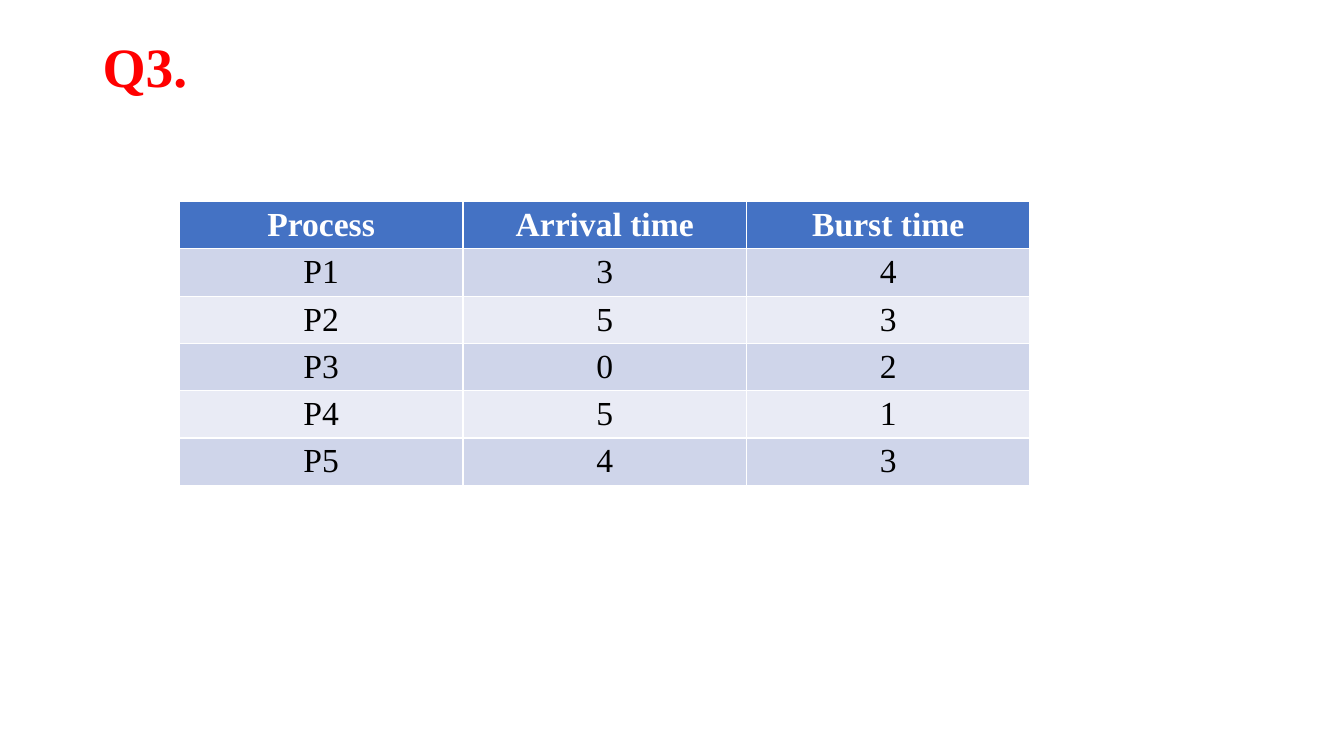
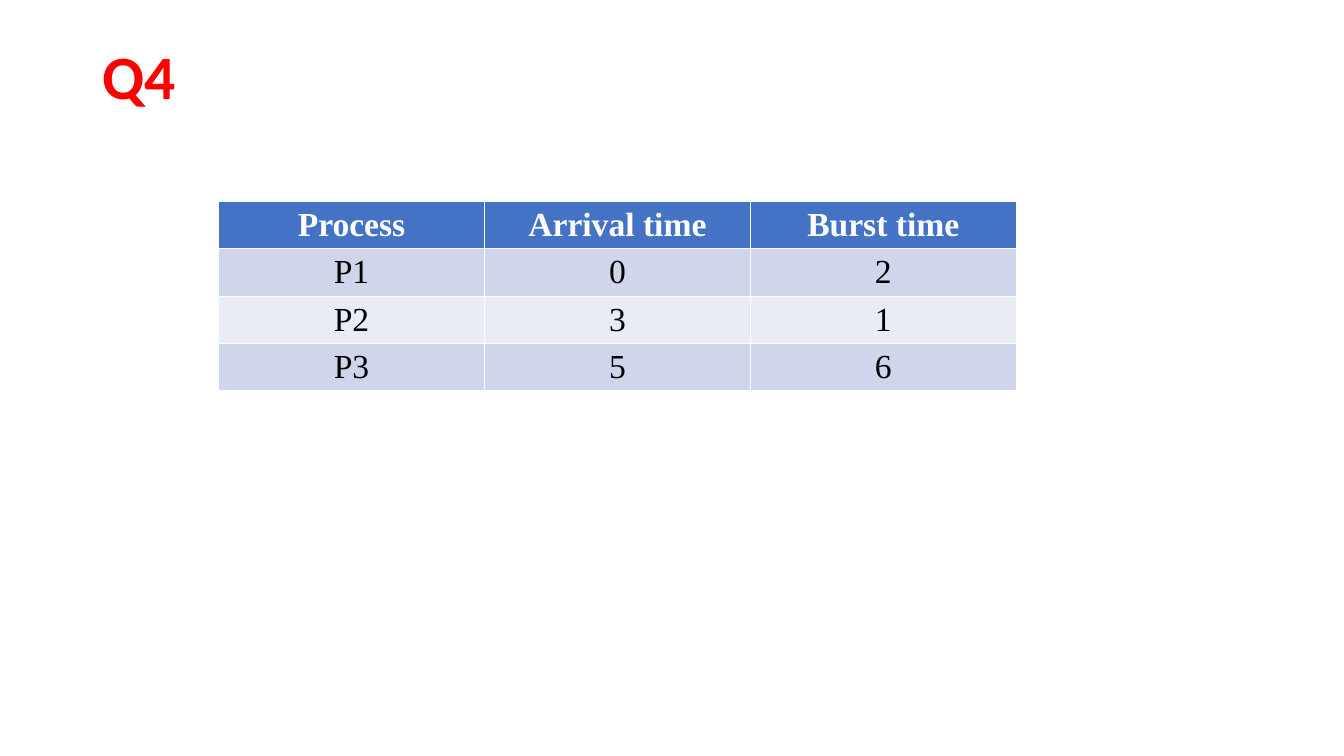
from pptx import Presentation
from pptx.dml.color import RGBColor
from pptx.enum.text import MSO_ANCHOR as Anchor, MSO_AUTO_SIZE as AutoSize, PP_ALIGN as Align
from pptx.util import Cm, Pt

SERIF = "Times New Roman"
SANS = "Calibri"
HEADINGS = ("Process", "Arrival time", "Burst time")


def color(hex_string):
    return RGBColor.from_string(hex_string)


class QuestionDeck:
    TITLE_COLOR = "FF0000"
    HEADER_FILL, HEADER_TEXT = "4472C4", "FFFFFF"
    BAND_FILLS, BODY_TEXT = ("E9EBF5", "CFD5EA"), "000000"
    TABLE_TOP, ROW_HEIGHT = 5.08, 1.19

    def __init__(self):
        self.deck = Presentation()
        self.deck.slide_width, self.deck.slide_height = Cm(33.87), Cm(19.05)
        self.slide = None

    def add_slide(self):
        title_only = self.deck.slide_layouts[5]
        self.slide = self.deck.slides.add_slide(title_only)

    def style(self, para, font_name, size, text_color, bold, align):
        para.alignment = align
        font = para.font
        font.name, font.size, font.bold = font_name, Pt(size), bold
        font.color.rgb = color(text_color)

    def title(self, text, height, font_name, size):
        box = self.slide.shapes.title
        box.left, box.top, box.width, box.height = Cm(2.33), Cm(1.02), Cm(29.21), Cm(height)
        frame = box.text_frame
        frame.text = text
        frame.vertical_anchor = Anchor.MIDDLE
        frame.auto_size = AutoSize.NONE
        para = frame.paragraphs[0]
        para.line_spacing = 0.9
        self.style(para, font_name, size, self.TITLE_COLOR, True, Align.LEFT)

    def process_table(self, left, width, processes):
        """Draw a header row and one banded row per (arrival, burst) pair."""
        rows = [HEADINGS]
        rows += [(f"P{number}", *times) for number, times in enumerate(processes, 1)]
        table = self.slide.shapes.add_table(
            len(rows), len(HEADINGS), Cm(left), Cm(self.TABLE_TOP),
            Cm(width), Cm(self.ROW_HEIGHT * len(rows))).table
        for row_index, values in enumerate(rows):
            is_header = row_index == 0
            fill = self.HEADER_FILL if is_header else self.BAND_FILLS[row_index % 2]
            text_color = self.HEADER_TEXT if is_header else self.BODY_TEXT
            for column, value in enumerate(values):
                cell = table.cell(row_index, column)
                cell.text = str(value)
                cell.fill.solid()
                cell.fill.fore_color.rgb = color(fill)
                self.style(cell.text_frame.paragraphs[0], SERIF, 24,
                           text_color, is_header, Align.CENTER)


def main():
    questions = QuestionDeck()

    questions.add_slide()
    questions.title("Q3.", 1.45, SERIF, 39.6)
    questions.process_table(4.52, 21.44, [(3, 4), (5, 3), (0, 2), (5, 1), (4, 3)])

    questions.add_slide()
    questions.title("Q4", 1.96, SANS, 44)
    questions.process_table(5.51, 20.1, [(0, 2), (3, 1), (5, 6)])

    questions.deck.save("out.pptx")


if __name__ == "__main__":
    main()
